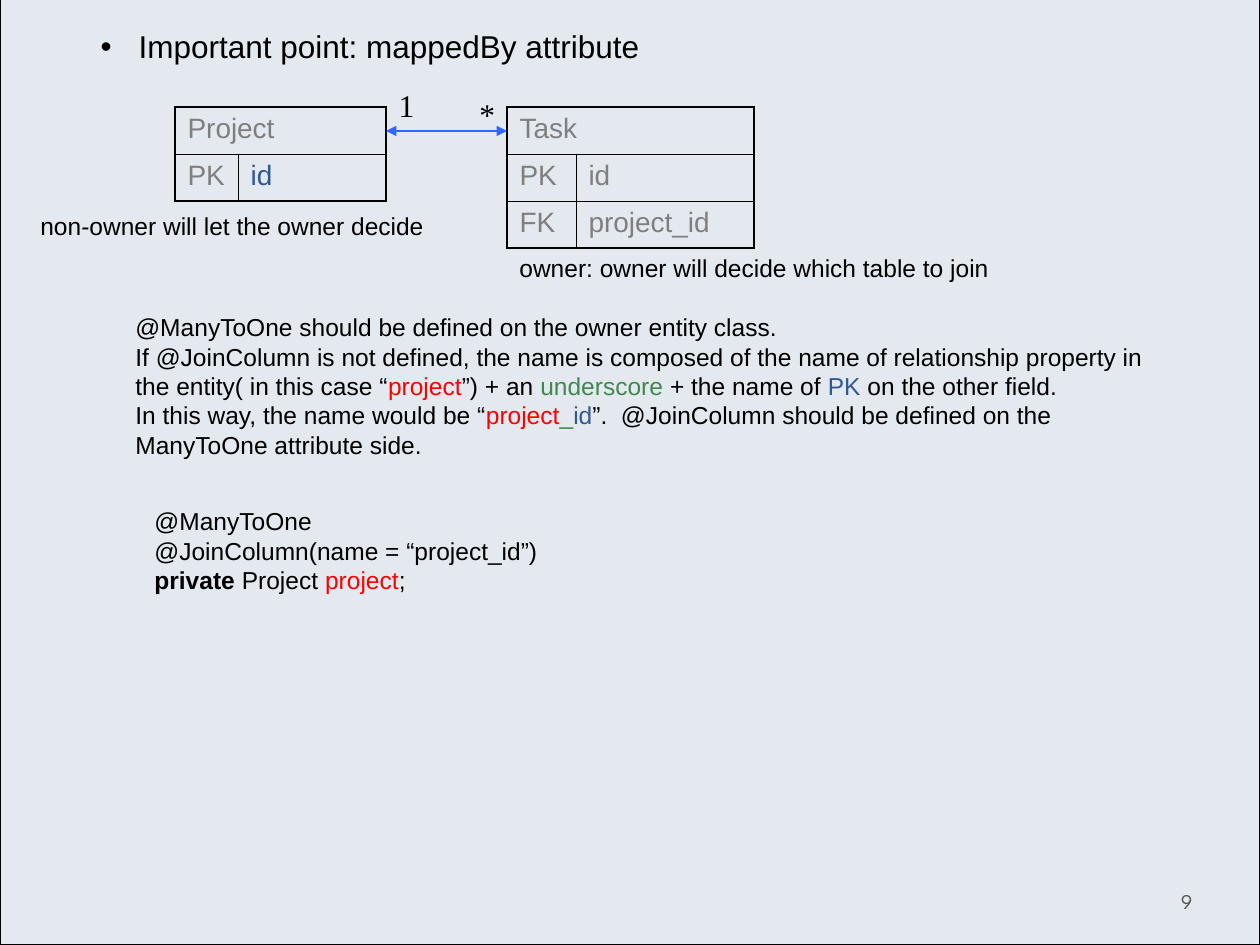
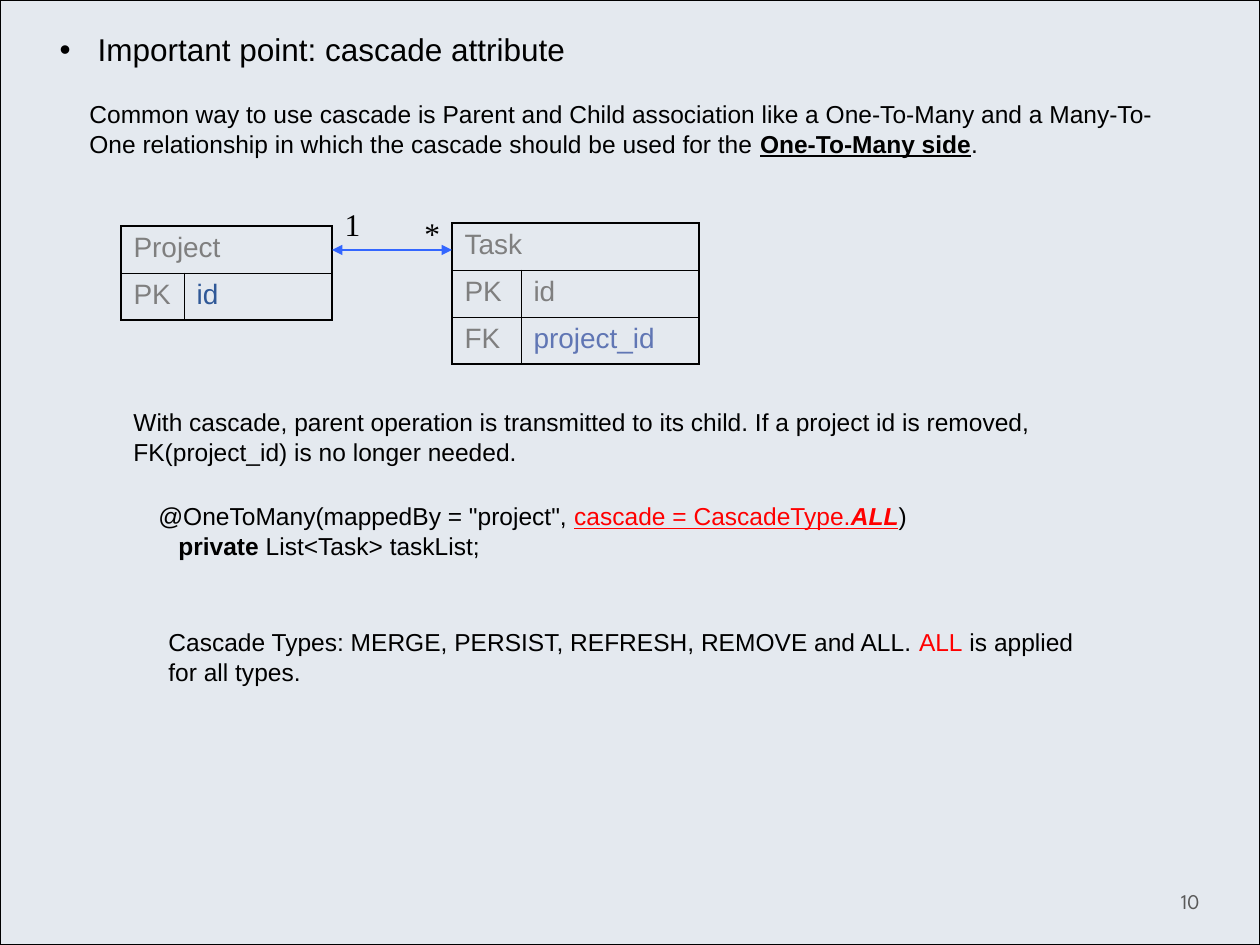
"""Build two slides on the mappedBy and cascade attributes."""
import pptx
import pptx.dml.color
import pptx.enum.shapes
import pptx.enum.text
import pptx.oxml
import pptx.oxml.ns
import pptx.util

COLORS = {
    "black": "000000", "panel": "E4E9EF", "gray": "7F7F7F", "number": "595959",
    "red": "FF0000", "green": "40884F", "navy": "2F5897", "slate": "6076B4",
    "arrow": "3366FF",
}
STYLES = {
    "plain": {},
    "red": {"color": "red"},
    "green": {"color": "green"},
    "navy": {"color": "navy"},
    "bold": {"bold": True},
    "bold underline": {"bold": True, "underline": True},
    "red underline": {"color": "red", "underline": True},
    "red emphasis": {"color": "red", "bold": True, "italic": True, "underline": True},
}
PROJECT = [["Project"], ["PK", ("id", "navy")]]
SLIDES = [
    {
        "number": "9",
        "panel": (0, -217, 1260, 1162),
        "title": ("Important point: mappedBy attribute", 88, 21),
        "project": (175, 107),
        "task": (507, 107),
        "task_rows": [["Task"], ["PK", "id"], ["FK", "project_id"]],
        "notes": [
            ((28, 205, 418, 43), [["non-owner will let the owner decide"]]),
            ((507, 247, 496, 72), [["owner: owner will decide which table to join"]]),
            ((123, 306, 1047, 160), [
                ["@ManyToOne should be defined on the owner entity class."],
                ["If @JoinColumn is not defined, the name is composed of the name of "
                 "relationship property in the entity( in this case “", ("project", "red"),
                 "”) + an ", ("underscore", "green"), " + the name of ", ("PK", "navy"),
                 " on the other field."],
                ["In this way, the name would be “", ("project", "red"), ("_", "green"),
                 ("id", "navy"), "”.  @JoinColumn should be defined on the ManyToOne "
                 "attribute side."],
            ]),
            ((142, 500, 827, 101), [
                ["@ManyToOne"],
                ["@JoinColumn(name = “project_id”)"],
                [("private ", "bold"), "Project ", ("project", "red"), ";"],
            ]),
        ],
    },
    {
        "number": "10",
        "panel": (0, 0, 1260, 945),
        "title": ("Important point: cascade attribute", 47, 24),
        "project": (121, 226),
        "task": (452, 223),
        "task_rows": [["Task"], ["PK", "id"], ["FK", ("project_id", "slate")]],
        "notes": [
            ((77, 93, 1113, 72), [
                ["Common way to use cascade is Parent and Child association like a "
                 "One-To-Many and a Many-To-One relationship in which the cascade should "
                 "be used for the ", ("One-To-Many side", "bold underline"), "."],
            ]),
            ((121, 401, 964, 72), [
                ["With cascade, parent operation is transmitted to its child. If a project "
                 "id is removed, FK(project_id) is no longer needed."],
            ]),
            ((146, 495, 820, 72), [
                ['@OneToMany(mappedBy = "project", ',
                 ("cascade = CascadeType.", "red underline"), ("ALL", "red emphasis"), ")"],
                [("private", "bold"), " List<Task> taskList;"],
            ], (0, 20)),
            ((156, 621, 964, 72), [
                ["Cascade Types: MERGE, PERSIST, REFRESH, REMOVE and ALL. ",
                 ("ALL", "red"), " is applied for all types."],
            ]),
        ],
    },
]
PROJECT_COLUMNS = (63, 148)
TASK_COLUMNS = (69, 178)
ROW_HEIGHT = 47
ARROW_DROP = 24
TITLE_SIZE = (975, 50)
BULLET_INDENT = 38
NUMBER_BOX = (1177, 876, 77, 50)
OUTER_LINE, INNER_LINE = 1.08, 0.45
NO_STYLE = "{2D5ABB26-0587-4C30-8999-92F81FD0307C}"
NAMESPACE = pptx.oxml.ns.nsdecls("a")


def px(length):
    return pptx.util.Emu(round(length * 914400 / 126))


def box(*lengths):
    return [px(length) for length in lengths]


def rgb(name):
    return pptx.dml.color.RGBColor.from_string(COLORS[name])


def split(item):
    return (item, None) if isinstance(item, str) else item


def format_font(font, size, color="black", name="Arial", bold=False, italic=False,
                underline=False):
    font.size, font.name = pptx.util.Pt(size), name
    font.bold, font.italic, font.underline = bold, italic, underline
    font.color.rgb = rgb(color)


def add_panel(slide, place):
    panel = slide.shapes.add_shape(
        pptx.enum.shapes.MSO_SHAPE.RECTANGLE, *box(*place))
    panel.shadow.inherit = False
    panel.fill.solid()
    panel.fill.fore_color.rgb = rgb("panel")
    panel.line.color.rgb = rgb("black")
    panel.line.width = pptx.util.Pt(0.75)
    slide.shapes.title._element.addprevious(panel._element)


def set_title(slide, text, left, top):
    title = slide.shapes.title
    title.left, title.top, title.width, title.height = box(left, top, *TITLE_SIZE)
    frame = title.text_frame
    frame.text = text
    frame.word_wrap = True
    frame.auto_size = pptx.enum.text.MSO_AUTO_SIZE.NONE
    frame.vertical_anchor = pptx.enum.text.MSO_ANCHOR.TOP
    paragraph = frame.paragraphs[0]
    paragraph.alignment = pptx.enum.text.PP_ALIGN.LEFT
    format_font(paragraph.runs[0].font, 18)
    properties = paragraph._p.get_or_add_pPr()
    properties.set("marL", str(px(BULLET_INDENT)))
    properties.set("indent", str(-px(BULLET_INDENT)))
    properties.append(pptx.oxml.parse_xml(f'<a:buFont {NAMESPACE} typeface="Arial"/>'))
    properties.append(pptx.oxml.parse_xml(f'<a:buChar {NAMESPACE} char="•"/>'))


def add_note(slide, place, paragraphs, indents=None):
    frame = slide.shapes.add_textbox(*box(*place)).text_frame
    frame.word_wrap = True
    for index, parts in enumerate(paragraphs):
        paragraph = frame.add_paragraph() if index else frame.paragraphs[0]
        if indents:
            paragraph._p.get_or_add_pPr().set("marL", str(px(indents[index])))
        for part in parts:
            text, style = split(part)
            run = paragraph.add_run()
            run.text = text
            format_font(run.font, 14, **STYLES[style or "plain"])


def add_label(slide, text, left, top, width):
    frame = slide.shapes.add_textbox(*box(left, top, width, 50)).text_frame
    frame.text = text
    frame.word_wrap = False
    paragraph = frame.paragraphs[0]
    paragraph.alignment = pptx.enum.text.PP_ALIGN.CENTER
    format_font(paragraph.runs[0].font, 18, name="Times New Roman")


def set_borders(cell, widths):
    properties = cell._tc.get_or_add_tcPr()
    for index, (side, width) in enumerate(zip("LRTB", widths)):
        properties.insert(index, pptx.oxml.parse_xml(
            f'<a:ln{side} {NAMESPACE} w="{pptx.util.Pt(width)}"><a:solidFill>'
            f'<a:srgbClr val="{COLORS["black"]}"/></a:solidFill></a:ln{side}>'))


def add_entity(slide, left, top, columns, rows):
    last = len(rows) - 1
    table = slide.shapes.add_table(len(rows), 2, *box(
        left, top, sum(columns), ROW_HEIGHT * len(rows))).table
    table.first_row = table.horz_banding = False
    table._tbl.tblPr.find(pptx.oxml.ns.qn("a:tableStyleId")).text = NO_STYLE
    for column, width in zip(table.columns, columns):
        column.width = px(width)
    table.cell(0, 0).merge(table.cell(0, 1))
    for row, values in enumerate(rows):
        table.rows[row].height = px(ROW_HEIGHT)
        for column, value in enumerate(values):
            text, color = split(value)
            cell = table.cell(row, column)
            cell.text_frame.text = text
            paragraph = cell.text_frame.paragraphs[0]
            paragraph.space_before = pptx.util.Pt(4)
            format_font(paragraph.runs[0].font, 16, color or "gray")
            cell.fill.background()
            outer = (column == 0, column == len(values) - 1, row == 0, row == last)
            set_borders(cell, [OUTER_LINE if edge else INNER_LINE for edge in outer])


def add_relation(slide, start, end, y):
    arrow = slide.shapes.add_connector(
        pptx.enum.shapes.MSO_CONNECTOR.STRAIGHT, *box(start, y, end, y))
    arrow.line.color.rgb = rgb("arrow")
    arrow.line.width = pptx.util.Pt(1.5)
    for tag in ("headEnd", "tailEnd"):
        arrow.line._get_or_add_ln().append(
            pptx.oxml.parse_xml(f'<a:{tag} {NAMESPACE} type="triangle"/>'))
    arrow._element.spPr.append(pptx.oxml.parse_xml(f"<a:effectLst {NAMESPACE}/>"))


def add_diagram(slide, project, task, task_rows):
    left, top = project
    right = left + sum(PROJECT_COLUMNS)
    add_entity(slide, *task, TASK_COLUMNS, task_rows)
    add_entity(slide, left, top, PROJECT_COLUMNS, PROJECT)
    add_relation(slide, right, task[0], top + ARROW_DROP)
    add_label(slide, "1", right - 1, top - 27, 43)
    add_label(slide, "*", task[0] - 40, top - 18, 40)


def add_number(slide, text):
    frame = slide.shapes.add_textbox(*box(*NUMBER_BOX)).text_frame
    frame.text = text
    frame.word_wrap = True
    frame.margin_left, frame.margin_right = box(4, 6)
    frame.vertical_anchor = pptx.enum.text.MSO_ANCHOR.MIDDLE
    format_font(frame.paragraphs[0].runs[0].font, 12, "number", "League Spartan")


def main():
    presentation = pptx.Presentation()
    presentation.slide_width, presentation.slide_height = box(1260, 945)
    for content in SLIDES:
        slide = presentation.slides.add_slide(presentation.slide_layouts[5])
        add_panel(slide, content["panel"])
        set_title(slide, *content["title"])
        add_diagram(slide, content["project"], content["task"], content["task_rows"])
        for note in content["notes"]:
            add_note(slide, *note)
        add_number(slide, content["number"])
    presentation.save("out.pptx")


if __name__ == "__main__":
    main()
